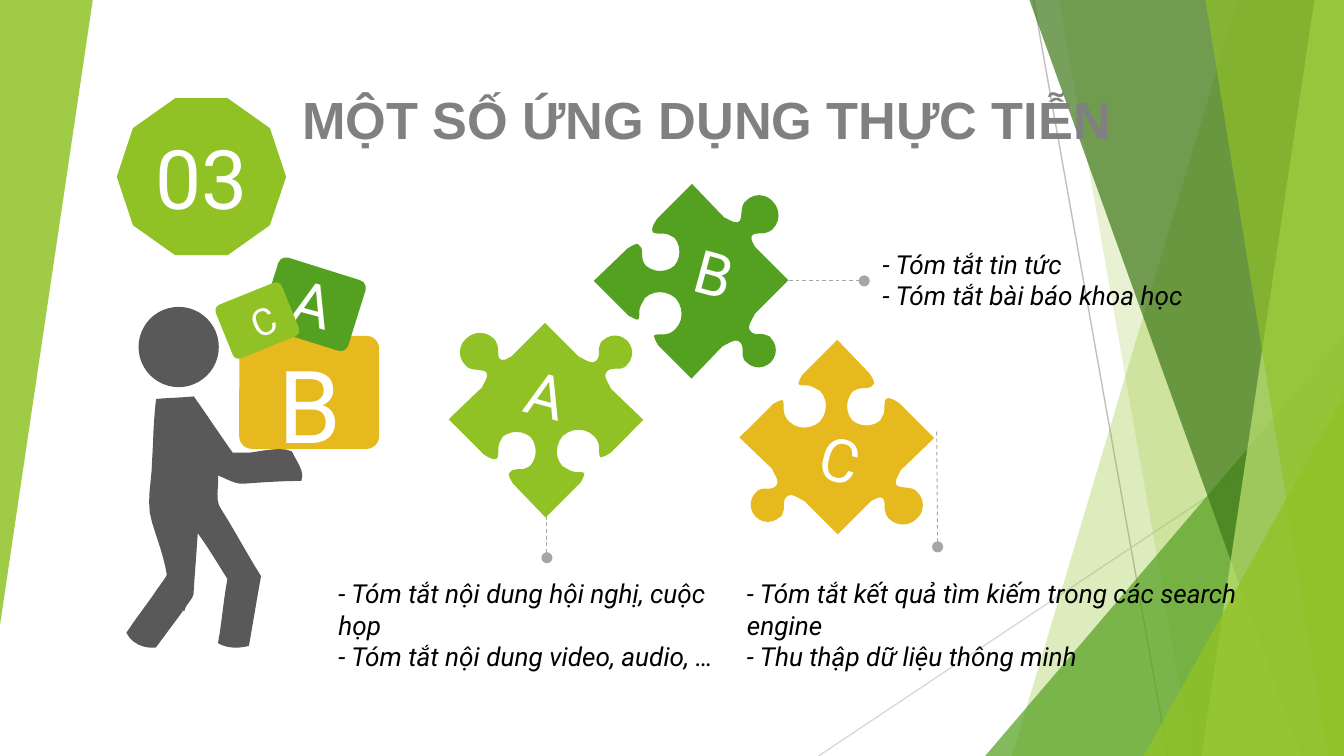
import math
from lxml import etree
from pptx import Presentation
from pptx import util as u
from pptx.dml import color as colors
from pptx.enum import dml, shapes, text
from pptx.oxml import ns

Pt = u.Pt
SHAPE = shapes.MSO_SHAPE
WIDTH, HEIGHT = 720, 405
GREEN, LEAF, FOREST, YELLOW = "90C226", "54A021", "3F7819", "E6B91E"
GREY, WHITE, BLACK = "595959", "FFFFFF", "000000"

# Outlines: a start point, then lines (x, y) or curves (two controls and an end)
PUZZLE = [
    (167, 54), (172, 59, 172, 67, 167, 72), (167, 72, 166, 73, 165, 74),
    (164, 74, 163, 75, 161, 75), (159, 75), (156, 75, 154, 75, 152, 77),
    (149, 80, 152, 84, 154, 88), (155, 90), (179, 113), (155, 137), (154, 138),
    (149, 141, 147, 141, 147, 141), (146, 140, 146, 138, 146, 136), (146, 134),
    (146, 129, 143, 126, 142, 125), (136, 119, 126, 119, 119, 125),
    (113, 132, 113, 142, 119, 148), (120, 148, 123, 151, 128, 152), (130, 152),
    (132, 152, 134, 152, 135, 153), (135, 153, 135, 155, 132, 160), (131, 161),
    (106, 186), (83, 162), (82, 161), (78, 155, 78, 153, 80, 152),
    (81, 150, 85, 150, 87, 150), (91, 150, 94, 148, 95, 147),
    (100, 141, 100, 132, 95, 126), (89, 121, 80, 121, 74, 126),
    (74, 127, 71, 130, 71, 134), (71, 137, 71, 140, 70, 142),
    (68, 143, 66, 143, 60, 139), (59, 138), (34, 113), (59, 89), (60, 87),
    (67, 75, 59, 77, 55, 76), (49, 76, 47, 73, 47, 73), (41, 68, 41, 58, 47, 53),
    (53, 47, 62, 47, 68, 53), (68, 53, 70, 55, 71, 60), (71, 65, 70, 73, 81, 66),
    (83, 64), (106, 41), (131, 66), (133, 67), (137, 69, 141, 72, 144, 69),
    (146, 67, 146, 65, 146, 62), (146, 60), (147, 56, 148, 54, 149, 54),
    (154, 49, 162, 49, 167, 54)]
BODY = [
    (144, 95), (135, 96, 125, 96, 116, 97), (114, 112, 114, 127, 113, 143),
    (113, 158, 108, 174, 113, 189), (117, 202, 122, 215, 124, 228),
    (122, 232, 119, 235, 117, 239), (124, 244, 127, 254, 137, 255),
    (138, 249, 145, 246, 144, 239), (145, 225, 146, 211, 147, 197),
    (155, 208, 162, 220, 169, 231), (166, 247, 165, 263, 162, 279),
    (169, 283, 177, 283, 185, 281), (188, 264, 191, 246, 194, 229),
    (184, 213, 175, 196, 165, 180), (159, 173, 163, 163, 162, 154),
    (168, 156, 175, 161, 182, 160), (196, 159, 210, 158, 224, 158),
    (227, 151, 220, 143, 217, 136), (210, 132, 193, 136, 185, 137), (173, 137),
    (163, 123, 154, 109, 144, 95)]
FOOT = [(136, 255), (135, 245, 124, 244, 118, 237), (110, 249, 102, 259, 94, 271),
        (98, 279, 107, 283, 116, 282)]


def rgb(value):
    return colors.RGBColor.from_string(value)


def paint(shape, fill, alpha=100, rotation=0):
    shape.shadow.inherit = False
    shape.line.fill.background()
    shape.fill.solid()
    shape.fill.fore_color.rgb = rgb(fill)
    shape.rotation = rotation
    if alpha < 100:
        color = shape.element.spPr.find(".//" + ns.qn("a:srgbClr"))
        etree.SubElement(color, ns.qn("a:alpha"), val=str(alpha * 1000))
    return shape


def add_preset(slide, kind, box, fill, adjust=None, **look):
    shape = slide.shapes.add_shape(kind, *map(Pt, box))
    if adjust is not None:
        shape.adjustments[0] = adjust
    return paint(shape, fill, **look)


def flatten(outline, steps=6):
    points = [outline[0]]
    for segment in outline[1:]:
        if len(segment) == 2:
            points.append(segment)
            continue
        curve = [points[-1], segment[:2], segment[2:4], segment[4:]]
        for step in range(1, steps + 1):
            t = step / steps
            weights = ((1 - t) ** 3, 3 * t * (1 - t) ** 2, 3 * t * t * (1 - t), t ** 3)
            points.append(tuple(sum(w * p[axis] for w, p in zip(weights, curve))
                                for axis in (0, 1)))
    return points


def add_outline(slide, outline, box, fill, turn=0, **look):
    """Draw an outline, turned clockwise by some degrees, so that it fills the box."""
    cos, sin = math.cos(math.radians(turn)), math.sin(math.radians(turn))
    points = [(100 * (x * cos - y * sin), 100 * (x * sin + y * cos))
              for x, y in flatten(outline)]
    builder = slide.shapes.build_freeform(*points[0], scale=91.44)
    builder.add_line_segments(points[1:], close=True)
    shape = builder.convert_to_shape()
    for name, value in zip(("left", "top", "width", "height"), box):
        setattr(shape, name, Pt(value))
    return paint(shape, fill, **look)


def add_line(slide, start, end, color, width, dotted=False):
    line = slide.shapes.add_connector(shapes.MSO_CONNECTOR.STRAIGHT, *map(Pt, start + end))
    line.line.color.rgb = rgb(color)
    line.line.width = Pt(width)
    if dotted:
        line.line.dash_style = dml.MSO_LINE.DASH
        etree.SubElement(line.line._get_or_add_ln(), ns.qn("a:headEnd"), type="oval")
    etree.SubElement(line.element.spPr, ns.qn("a:effectLst"))


def write(shape, lines, color, frame_format=None, align=text.PP_ALIGN.LEFT, **font_format):
    frame = shape.text_frame
    for name, value in (frame_format or {}).items():
        setattr(frame, name, value)
    frame.text = "\n".join(lines)
    for paragraph in frame.paragraphs:
        paragraph.alignment = align
        font = paragraph.runs[0].font
        font.color.rgb = rgb(color)
        for name, value in ({"name": "Roboto"} | font_format).items():
            setattr(font, name, value)


def add_text(slide, box, lines, size, color, wrap=True, rotation=0, **font_format):
    shape = slide.shapes.add_textbox(*map(Pt, box))
    shape.rotation = rotation
    write(shape, lines, color, {"word_wrap": wrap, "auto_size": text.MSO_AUTO_SIZE.SHAPE_TO_FIT_TEXT},
          size=Pt(size), **font_format)
    for name, value in zip(("width", "height"), box[2:]):
        setattr(shape, name, Pt(value))


def add_backdrop(slide, width, height):
    def band(top, bottom, fill, alpha):
        corners = [(top, 0), (width, 0), (width, height), (bottom, height)]
        left = min(top, bottom)
        add_outline(slide, corners, (left, 0, width - left, height), fill, alpha=alpha)

    def wedge(left, top, fill, alpha):
        add_preset(slide, SHAPE.ISOSCELES_TRIANGLE, (left, top, width - left, height - top),
                   fill, 1, alpha=alpha)

    add_line(slide, (553.7, 0), (625.7, height), "BFBFBF", 0.75)
    add_line(slide, (width, 217.4), (438.5, height), "D9D9D9", 0.75)
    for draw, *values in [
            (band, 663, 542.2, GREEN, 30), (band, 567.4, 638.6, GREEN, 20),
            (wedge, 527.8, 180, LEAF, 72), (band, 551.5, 697, FOREST, 70),
            (band, 704.2, 643.7, "C0E474", 70), (band, 645.8, 711.4, GREEN, 65),
            (wedge, 612.7, 211.7, GREEN, 80)]:
        draw(*values)
    add_preset(slide, SHAPE.ISOSCELES_TRIANGLE, (0, 0, 49.7, 334.8), GREEN, 1,
               alpha=85, rotation=180)


def add_carrier(slide, x, y):
    """A walking figure that carries three lettered boxes."""
    add_preset(slide, SHAPE.OVAL, (x + 6.5, y + 1, 43, 43), GREY)
    add_outline(slide, BODY, (x + 12.2, y + 49, 82.1, 134.6), GREY)
    add_outline(slide, FOOT, (x, y + 151.2, 30.2, 32.4), GREY)
    for letter, crate, fill, tilt, label, size, slant in [
            ("", (60.5, 16.6, 74.9, 60.5), YELLOW, 0, None, 0, 0),
            ("A", (75.6, -20.2, 49, 39.6), LEAF, 17.4, (82.8, -24.5, 33.1, 46.1), 32, 15.1),
            ("B", None, None, 0, (74.2, 16.6, 50.4, 72.7), 54, 0),
            ("C", (51.1, -7.2, 38.2, 31), GREEN, 338, (59.8, -6.5, 25.2, 31.7), 20, 335.7)]:
        if crate:
            add_preset(slide, SHAPE.ROUNDED_RECTANGLE, (x + crate[0], y + crate[1], *crate[2:]),
                       fill, 0.11, rotation=tilt)
        if label:
            add_text(slide, (x + label[0], y + label[1], *label[2:]), [letter], size, WHITE,
                     wrap=letter == "B", rotation=slant)


def add_piece(slide, x, y, letter, fill, quarter, label_x, label_y):
    add_outline(slide, PUZZLE, (x, y, 97.9, 97.9), fill, turn=45 + 90 * quarter, rotation=315)
    add_text(slide, (x + label_x, y + label_y, 32.8, 46.1), [letter], 32, WHITE,
             wrap=False, rotation=15.1)


def add_heading(slide, x, y):
    badge = add_preset(slide, SHAPE.DECAGON, (x, y, 90.7, 84.2), GREEN)
    write(badge, ["03"], WHITE, {"vertical_anchor": text.MSO_ANCHOR.MIDDLE},
          text.PP_ALIGN.CENTER, size=Pt(44))
    title = slide.shapes.title
    for name, value in zip(("left", "top", "width", "height"), (x + 99.4, y - 5.8, 543.6, 33.8)):
        setattr(title, name, Pt(value))
    margins = {f"margin_{side}": 0 for side in ("left", "top", "right", "bottom")}
    write(title, ["MỘT SỐ ỨNG DỤNG THỰC TIỄN"], "808080",
          margins | {"vertical_anchor": text.MSO_ANCHOR.TOP, "word_wrap": True},
          name="Arial", size=Pt(28), bold=True)
    title.element.getparent().append(title.element)  # in front of the backdrop


presentation = Presentation()
presentation.slide_width, presentation.slide_height = Pt(WIDTH), Pt(HEIGHT)
slide = presentation.slides.add_slide(presentation.slide_layouts[5])
add_backdrop(slide, WIDTH, HEIGHT)

# Leaders from the pieces to their notes
for start, end in [((463, 150.5), (422, 150.5)), ((293, 298.8), (293, 277.2)),
                   ((502.3, 293), (501.8, 231.1))]:
    add_line(slide, start, end, "A6A6A6", 0.5, dotted=True)

add_piece(slide, 399.6, 202.3, "C", YELLOW, 2, 33.1, 20.2)
add_carrier(slide, 67.7, 163.4)
add_piece(slide, 243.4, 159.1, "A", GREEN, 0, 31.7, 28.8)
add_piece(slide, 338.4, 101.5, "B", LEAF, 1, 27.4, 21.6)

# Notes
for box, lines in [
        ((465.8, 129.6, 192.2, 41), ["- Tóm tắt tin tức", "- Tóm tắt bài báo khoa học"]),
        ((393.1, 306, 302.4, 58.3), ["- Tóm tắt kết quả tìm kiếm trong các search engine",
                                     "- Thu thập dữ liệu thông minh"]),
        ((174.2, 306, 236.9, 41), ["- Tóm tắt nội dung hội nghị, cuộc họp",
                                   "- Tóm tắt nội dung video, audio, …"])]:
    add_text(slide, box, lines, 14, BLACK, italic=True)

add_heading(slide, 62.6, 52.6)
presentation.save("out.pptx")
